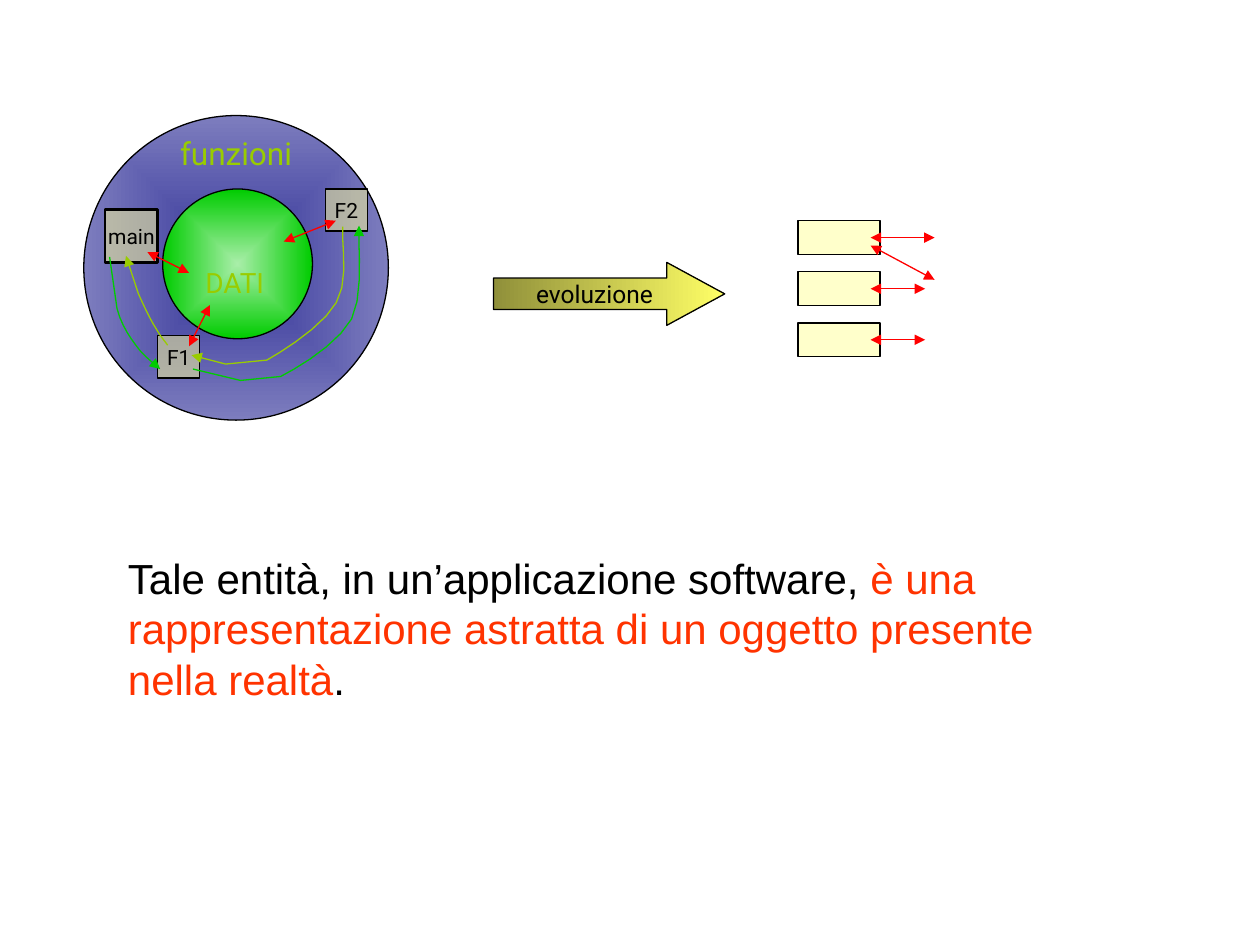
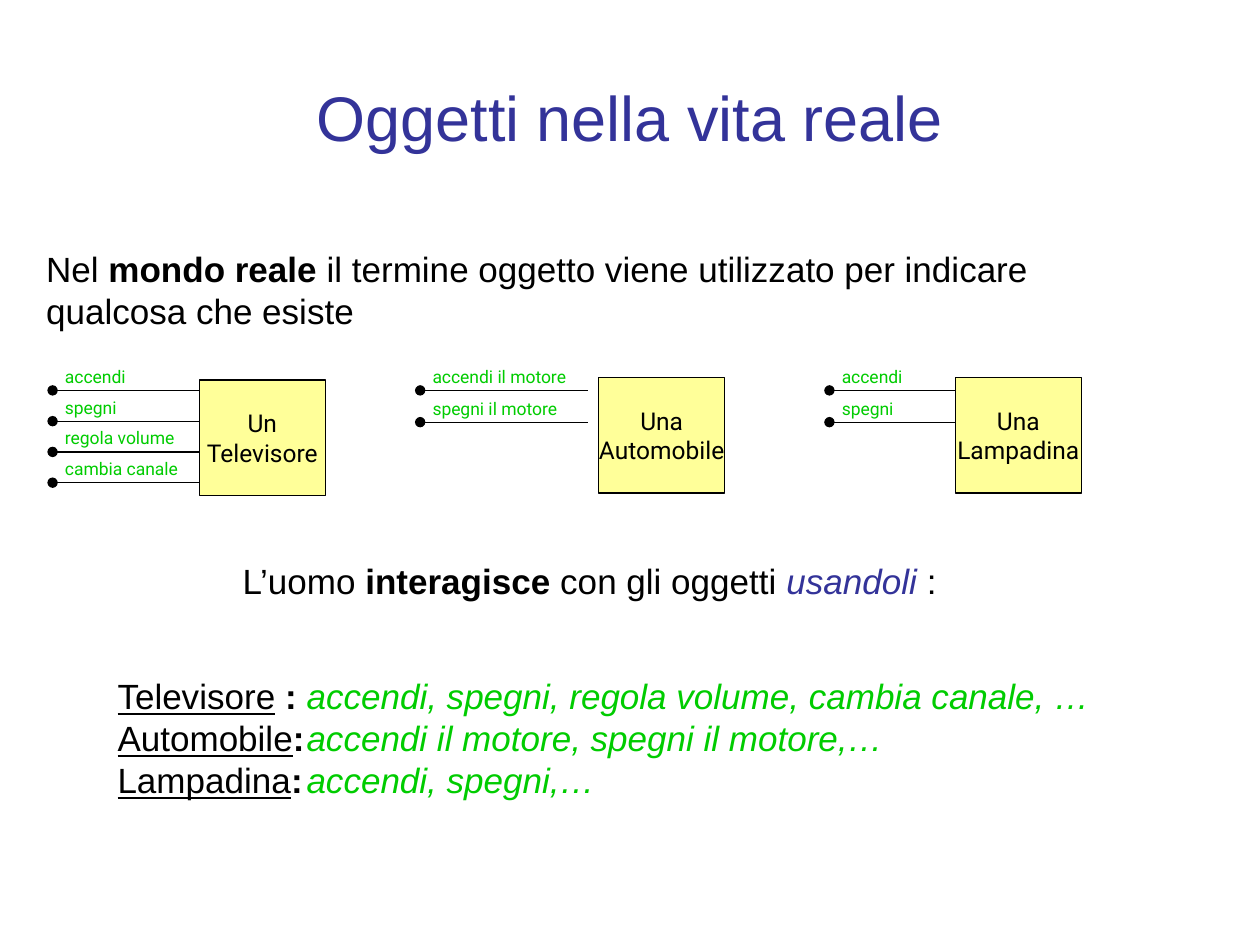
"""Build two slides on the move from functions to objects and on objects in real life."""
from lxml import etree
from pptx import Presentation, util as u
from pptx.dml.color import RGBColor
from pptx.enum import shapes, text
from pptx.oxml.ns import qn

C = {"black": "000000", "blue": "333399", "pale_blue": "7D7DBE", "green": "00CC00",
     "pale_green": "A9EEA9", "lime": "99CC00", "yellow": "FFFF99", "olive": "90903A",
     "bright_yellow": "FFFF66", "red": "FF0000", "orange": "FF3300"}
SANS, LABEL = "Arial", "Roboto"
CENTER, LEFT = text.PP_ALIGN.CENTER, text.PP_ALIGN.LEFT
RECT = shapes.MSO_SHAPE.RECTANGLE
STRAIGHT = shapes.MSO_CONNECTOR.STRAIGHT


def style(sp, colour="black", fill=None, alpha=None, width=0.75, head=None, tail=None):
    """Set fill (one colour, or a pair for a gradient), outline and line ends."""
    spPr = sp._element.spPr
    if isinstance(fill, tuple):
        sp.fill.gradient()
        for stop, name in zip(sp.fill.gradient_stops, fill):
            stop.color.rgb = RGBColor.from_string(C[name])
    elif fill:
        sp.fill.solid()
        sp.fill.fore_color.rgb = RGBColor.from_string(C[fill])
        if alpha:
            clr = spPr.find(qn("a:solidFill"))[0]
            etree.SubElement(clr, qn("a:alpha"), val=str(alpha * 1000))
    elif hasattr(sp, "fill"):
        sp.fill.background()
    sp.line.color.rgb = RGBColor.from_string(C[colour])
    sp.line.width = u.Pt(width)
    ln = spPr.find(qn("a:ln"))
    for tag, end in (("a:headEnd", head), ("a:tailEnd", tail)):
        if end:
            etree.SubElement(ln, qn(tag), type=end)
    etree.SubElement(spPr, qn("a:effectLst"))


def write(sp, paras, size, font=SANS, align=LEFT, wrap=True, middle=False, before=None):
    """Fill a shape with paragraphs of (text, colour, flags) runs."""
    tf = sp.text_frame
    tf.word_wrap = wrap
    tf.vertical_anchor = text.MSO_ANCHOR.MIDDLE if middle else text.MSO_ANCHOR.TOP
    for i, runs in enumerate(paras):
        p = tf.paragraphs[0] if i == 0 else tf.add_paragraph()
        p.alignment = align
        if before:
            p.space_before = u.Pt(before)
        for words, colour, flags in runs:
            r = p.add_run()
            r.text = words
            r.font.name, r.font.size = font, u.Pt(size)
            r.font.color.rgb = RGBColor.from_string(C[colour])
            r.font.bold, r.font.italic, r.font.underline = (f in flags for f in "biu")


prs = Presentation()
prs.slide_width, prs.slide_height = u.Cm(25.4), u.Cm(19.05)
blank = prs.slide_layouts[6]

s = prs.slides.add_slide(blank)
for x, y, d, colours in ((1.69, 2.33, 6.14, ("blue", "pale_blue")),
                         (3.28, 3.81, 3.02, ("pale_green", "green"))):
    sp = s.shapes.add_shape(shapes.MSO_SHAPE.OVAL, u.Cm(x), u.Cm(y), u.Cm(d), u.Cm(d))
    style(sp, fill=colours)
    grad = sp._element.spPr.find(qn("a:gradFill"))
    grad.remove(grad.find(qn("a:lin")))
    centre = etree.SubElement(grad, qn("a:path"), path="rect")
    etree.SubElement(centre, qn("a:fillToRect"), l="50000", t="50000", r="50000", b="50000")

for words, size, x, y, w, h in (("funzioni", 18, 3.38, 2.57, 2.8, 1),
                                ("DATI", 16, 3.89, 5.23, 1.75, 0.9)):
    sp = s.shapes.add_textbox(u.Cm(x), u.Cm(y), u.Cm(w), u.Cm(h))
    write(sp, [[(words, "lime", "")]], size, LABEL, wrap=False)

for name, x, y, side, width in (("F1", 3.18, 6.77, 0.85, 0.75),
                                ("F2", 6.56, 3.81, 0.85, 0.75),
                                ("main", 2.12, 4.23, 1.06, 1.5)):
    sp = s.shapes.add_shape(RECT, u.Cm(x), u.Cm(y), u.Cm(side), u.Cm(side))
    style(sp, fill="yellow", alpha=50, width=width)
    write(sp, [[(name, "black", "")]], 12, LABEL, CENTER, wrap=False, middle=True)

calls = [
    ("green", None, "triangle", [(3.89, 7.44), (4.85, 7.67), (5.66, 7.59)],
     [(6.05, 7.39), (6.81, 6.93), (7.09, 6.43), (7.34, 5.92), (7.21, 4.95), (7.24, 4.55)]),
    ("green", None, "triangle", [(2.21, 5.18), (2.36, 6.22)],
     [(2.44, 6.53), (2.59, 6.76), (2.74, 6.96), (2.87, 7.16), (3.12, 7.34), (3.23, 7.44)]),
    ("lime", "triangle", None, [(3.86, 7.16), (4.55, 7.34), (5.38, 7.26)],
     [(5.74, 7.06), (6.53, 6.55), (6.78, 6.1), (7.04, 5.66), (6.88, 4.9), (6.91, 4.57)]),
    ("lime", "triangle", None, [(2.54, 5.16), (2.79, 5.92)],
     [(2.9, 6.17), (3.05, 6.48), (3.15, 6.63), (3.25, 6.81), (3.33, 6.88), (3.38, 6.96)]),
]
STEPS = 5
for colour, head, tail, points, controls in calls:
    for i in range(0, len(controls), 3):
        curve = [points[-1], *controls[i:i + 3]]
        for t in (k / STEPS for k in range(1, STEPS + 1)):
            weights = ((1 - t) ** 3, 3 * t * (1 - t) ** 2, 3 * t * t * (1 - t), t ** 3)
            points.append(tuple(sum(w * pt[axis] for w, pt in zip(weights, curve))
                                for axis in (0, 1)))
    route = [(u.Cm(x), u.Cm(y)) for x, y in points]
    fb = s.shapes.build_freeform(*route[0])
    fb.add_line_segments(route[1:], close=False)
    style(fb.convert_to_shape(), colour, head=head, tail=tail)

for row in range(3):
    sp = s.shapes.add_shape(RECT, u.Cm(16.09), u.Cm(4.45 + 1.03 * row), u.Cm(1.65), u.Cm(0.68))
    style(sp, fill="yellow", alpha=50)

for ends in ((3.81, 5.5, 2.97, 5.08), (4.23, 6.15, 3.81, 6.98), (6.77, 4.45, 5.72, 4.87),
             (18.84, 4.79, 17.55, 4.79), (18.84, 5.64, 17.55, 4.95),
             (18.65, 5.82, 17.55, 5.82), (18.65, 6.85, 17.55, 6.85)):
    sp = s.shapes.add_connector(STRAIGHT, *map(u.Cm, ends))
    style(sp, "red", head="triangle", tail="triangle")

sp = s.shapes.add_shape(shapes.MSO_SHAPE.RIGHT_ARROW, u.Cm(9.95), u.Cm(5.29), u.Cm(4.66), u.Cm(1.27))
sp.adjustments[0], sp.adjustments[1] = 0.5, 0.92
style(sp, fill=("olive", "bright_yellow"))
sp.fill.gradient_angle = 0
write(sp, [[("evoluzione", "black", "")]], 14, LABEL, CENTER, wrap=False, middle=True)

sp = s.shapes.add_textbox(u.Cm(2.33), u.Cm(11.01), u.Cm(20.09), u.Cm(3.3))
write(sp, [[("Tale entità, in un’applicazione software, ", "black", ""),
            ("è una rappresentazione astratta di un oggetto presente nella realtà", "orange", ""),
            (".", "black", "")]], 24)

s = prs.slides.add_slide(blank)
sp = s.shapes.add_textbox(u.Cm(1.27), u.Cm(0.76), u.Cm(22.86), u.Cm(3.18))
write(sp, [[("Oggetti nella vita reale", "blue", "")]], 36, align=CENTER, middle=True)

sp = s.shapes.add_textbox(u.Cm(0.68), u.Cm(4.87), u.Cm(23.24), u.Cm(1.96))
write(sp, [[("Nel ", "black", ""), ("mondo reale", "black", "b"),
            (" il termine oggetto viene utilizzato per indicare qualcosa che esiste",
             "black", "")]], 20)

things = [
    ("Un", "Televisore", 4.02, 7.66, 1.06, 2.96, 0.62,
     ("accendi", "spegni", "regola volume", "cambia canale")),
    ("Una", "Automobile", 12.07, 7.61, 8.47, 3.38, 0.64,
     ("accendi il motore", "spegni il motore")),
    ("Una", "Lampadina", 19.26, 7.61, 16.72, 2.96, 0.64, ("accendi", "spegni")),
]
for article, name, box_x, box_y, x, length, pitch, actions in things:
    for row, action in enumerate(actions):
        y = 7.87 + pitch * row
        sp = s.shapes.add_connector(STRAIGHT, u.Cm(x), u.Cm(y), u.Cm(x + length), u.Cm(y))
        style(sp, head="oval")
        sp = s.shapes.add_textbox(u.Cm(x), u.Cm(y - 0.62), u.Cm(length), u.Cm(0.69))
        write(sp, [[(action, "green", "")]], 10, LABEL, before=6.2)
    sp = s.shapes.add_shape(RECT, u.Cm(box_x), u.Cm(box_y), u.Cm(2.54), u.Cm(2.33))
    style(sp, fill="yellow")
    write(sp, [[(article, "black", "")], [(name, "black", "")]], 14, LABEL, CENTER,
          wrap=False, middle=True)

sp = s.shapes.add_textbox(u.Cm(4.64), u.Cm(11.15), u.Cm(14.53), u.Cm(1.12))
write(sp, [[("L’uomo ", "black", ""), ("interagisce", "black", "b"),
            (" con gli oggetti ", "black", ""), ("usandoli ", "blue", "i"),
            (":", "black", "")]], 20, wrap=False)

sp = s.shapes.add_textbox(u.Cm(0.85), u.Cm(13.48), u.Cm(23.93), u.Cm(2.79))
uses = (("Televisore", " : ", "accendi, spegni, regola volume, cambia canale, …"),
        ("Automobile", ":\t", "accendi il motore, spegni il motore,…"),
        ("Lampadina", ":\t", "accendi, spegni,…"))
write(sp, [[(name, "black", "u"), (colon, "black", "b"), (actions, "green", "i")]
           for name, colon, actions in uses], 20)
for p in sp.text_frame.paragraphs:
    pPr = p._p.get_or_add_pPr()
    pPr.set("marL", str(u.Cm(1.27)))
    pPr.set("indent", "0")
    tabs = etree.SubElement(pPr, qn("a:tabLst"))
    etree.SubElement(tabs, qn("a:tab"), pos=str(u.Cm(6.35)), algn="l")

prs.save("out.pptx")
